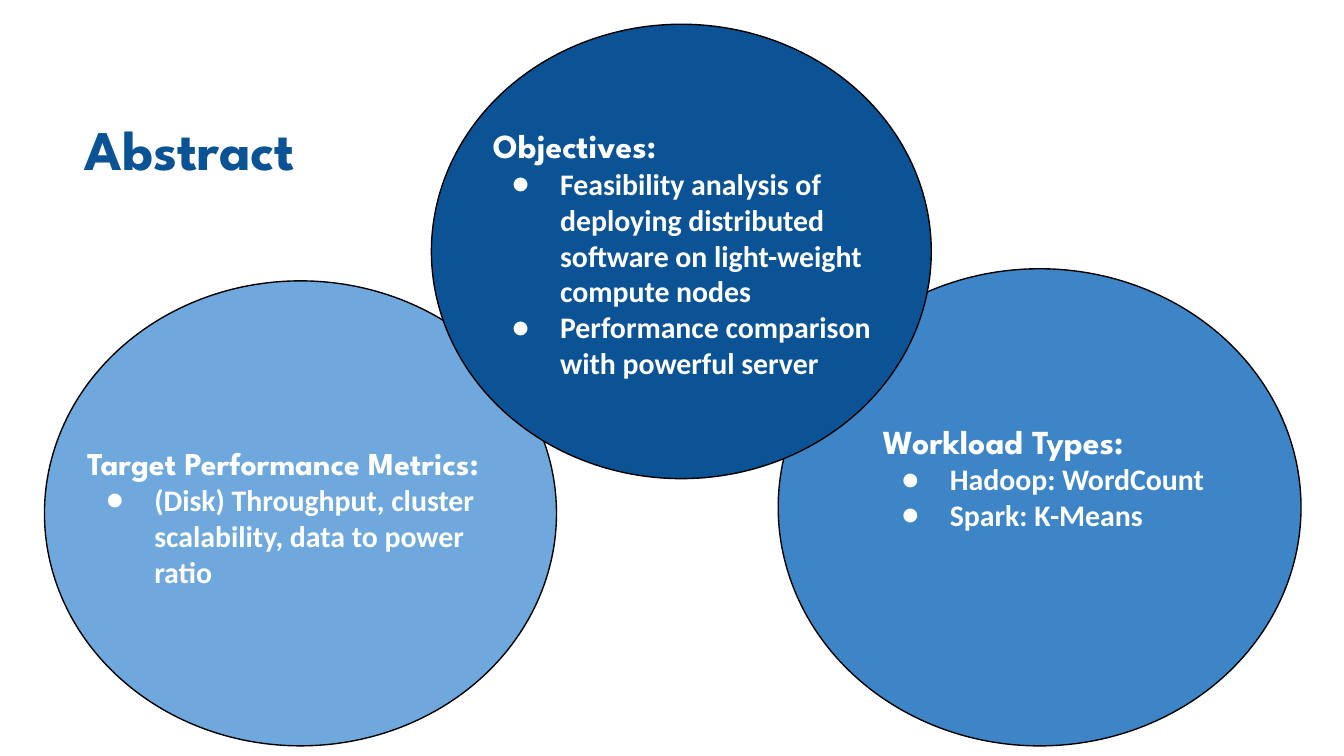
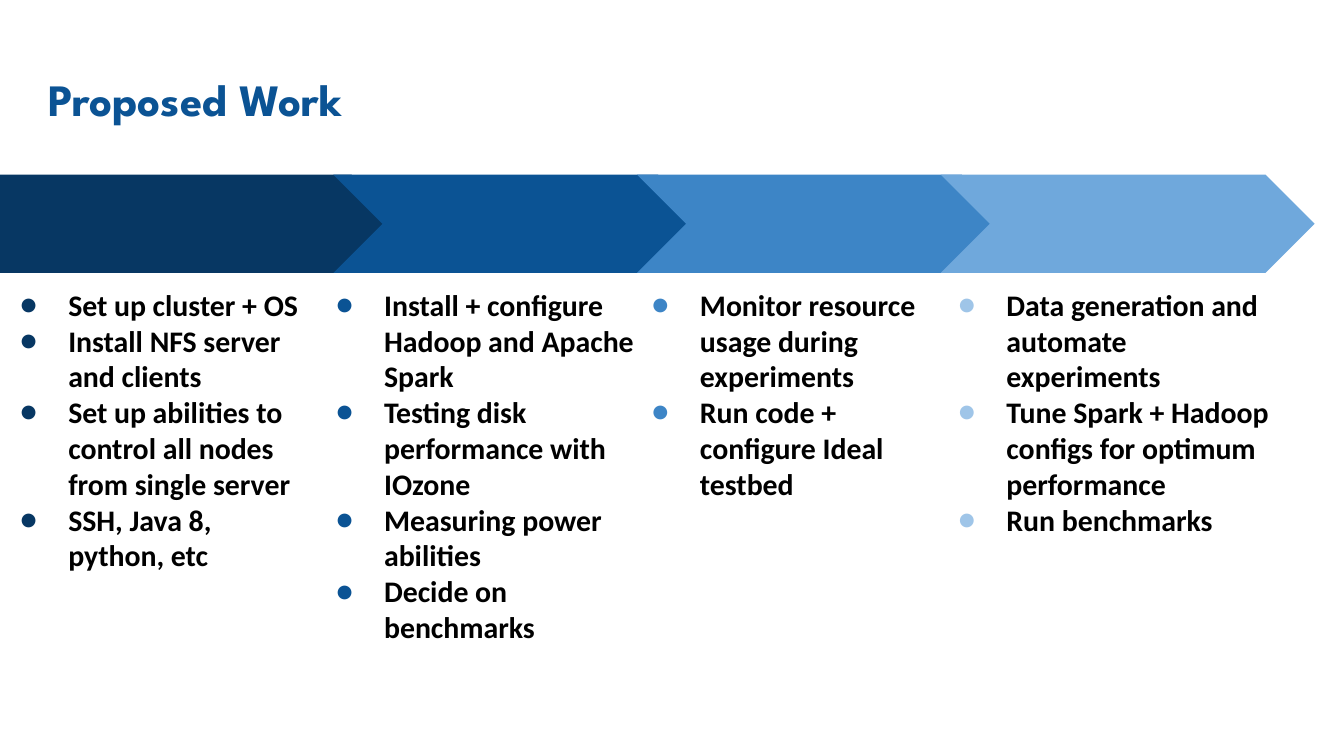
import pptx
import pptx.util
import pptx.dml.color
import pptx.enum.shapes
import pptx.enum.text
import pptx.oxml.ns
from lxml import etree

Pt = pptx.util.Pt
RGBColor = pptx.dml.color.RGBColor
SHAPE = pptx.enum.shapes.MSO_SHAPE
ANCHOR = pptx.enum.text.MSO_ANCHOR

NAVY = RGBColor(0x07, 0x37, 0x63)
BLUE = RGBColor(0x0B, 0x53, 0x94)
MEDIUM = RGBColor(0x3D, 0x85, 0xC6)
LIGHT = RGBColor(0x6F, 0xA8, 0xDC)
PALE = RGBColor(0x9F, 0xC5, 0xE8)
WHITE = RGBColor(0xFF, 0xFF, 0xFF)
BLACK = RGBColor(0, 0, 0)

HEADING_FONT = "League Spartan"
BODY_FONT = "Calibri"
INSET = 7.2
BULLET_MARGIN = 36
BULLET_HANGING = 26

BAND_TOP = 93.6
BAND_HEIGHT = 52.6
CHEVRON_LEFT = 178.6
CHEVRON_STEP = 162.7
CHEVRON_WIDTH = 200.2
PLATE_WIDTH = 214.6
COLUMN_TOP = 146.2
COLUMN_HEIGHT = 206

CIRCLES = [
    dict(area=(416.9, 144, 280.1, 255.6), fill=MEDIUM, text_area=(465.8, 179.3, 223.2, 152.1),
         heading="Workload Types:", bullets=["Hadoop: WordCount", "Spark: K-Means"]),
    dict(area=(23.8, 150.5, 274.3, 249.1), fill=LIGHT, text_area=(39.6, 218.2, 242.6, 113.8),
         heading="Target Performance Metrics:", size=17, spacing=1.15, text_fill=LIGHT,
         bullets=["(Disk) Throughput, cluster scalability, data to power ratio"]),
    dict(area=(231.1, 13, 267.8, 243.4), fill=BLUE, text_area=(257, 28.8, 231.8, 213.5),
         heading="Objectives:",
         bullets=["Feasibility analysis of deploying distributed software on light-weight compute nodes",
                  "Performance comparison with powerful server"]),
]

STAGES = [
    dict(fill=NAVY, bullet=NAVY, left=-6.5, width=177.1,
         tasks=["Set up cluster + OS", "Install NFS server and clients",
                "Set up abilities to control all nodes from single server",
                "SSH, Java 8, python, etc"]),
    dict(fill=BLUE, bullet=BLUE, left=162.7, width=197.3,
         tasks=["Install + configure Hadoop and Apache Spark",
                "Testing disk performance with IOzone",
                "Measuring power abilities", "Decide on benchmarks"]),
    dict(fill=MEDIUM, bullet=MEDIUM, left=331.9, width=188.6,
         tasks=["Monitor resource usage during experiments",
                "Run code + configure Ideal testbed"]),
    dict(fill=LIGHT, bullet=PALE, left=496.1, width=200.2,
         tasks=["Data generation and automate experiments",
                "Tune Spark + Hadoop configs for optimum performance",
                "Run benchmarks"]),
]


def set_bullet(para, color):
    properties = para._p.get_or_add_pPr()
    properties.set("marL", str(Pt(BULLET_MARGIN)))
    properties.set("indent", str(-Pt(BULLET_HANGING)))
    name = pptx.oxml.ns.qn
    bullet_color = etree.SubElement(properties, name("a:buClr"))
    etree.SubElement(bullet_color, name("a:srgbClr"), val=str(color))
    etree.SubElement(properties, name("a:buFont"), typeface=BODY_FONT)
    etree.SubElement(properties, name("a:buChar"), char="●")


def write(para, text, size=16, font=BODY_FONT, color=BLACK, bullet=None, spacing=None):
    para.alignment = pptx.enum.text.PP_ALIGN.LEFT
    if spacing:
        para.line_spacing = spacing
    if bullet is not None:
        set_bullet(para, bullet)
    span = para.add_run()
    span.text = text
    span.font.size = Pt(size)
    span.font.name = font
    span.font.bold = True
    span.font.color.rgb = color


def prepare_frame(box, anchor):
    frame = box.text_frame
    frame.word_wrap = True
    frame.auto_size = pptx.enum.text.MSO_AUTO_SIZE.NONE
    frame.vertical_anchor = anchor
    frame.margin_left = frame.margin_right = Pt(INSET)
    frame.margin_top = frame.margin_bottom = Pt(INSET)
    return frame


def add_titled_page(deck, text, area, size):
    page = deck.slides.add_slide(deck.slide_layouts[5])
    title = page.shapes.title
    title.left, title.top, title.width, title.height = map(Pt, area)
    frame = prepare_frame(title, ANCHOR.TOP)
    write(frame.paragraphs[0], text, size=size, font=HEADING_FONT, color=BLUE)
    return page


def add_figure(page, kind, area, fill, outline=None):
    figure = page.shapes.add_shape(kind, *map(Pt, area))
    figure.shadow.inherit = False
    figure.fill.solid()
    figure.fill.fore_color.rgb = fill
    if outline is None:
        figure.line.fill.background()
    else:
        figure.line.color.rgb = outline
        figure.line.width = Pt(0.75)


def add_text(page, area, lines, anchor=ANCHOR.TOP, fill=None):
    box = page.shapes.add_textbox(*map(Pt, area))
    if fill is not None:
        box.fill.solid()
        box.fill.fore_color.rgb = fill
    frame = prepare_frame(box, anchor)
    for index, (text, style) in enumerate(lines):
        para = frame.add_paragraph() if index else frame.paragraphs[0]
        write(para, text, **style)


def add_circle(page, circle):
    add_figure(page, SHAPE.OVAL, circle["area"], circle["fill"], outline=BLACK)
    heading_style = dict(size=circle.get("size", 18), font=HEADING_FONT, color=WHITE,
                         spacing=circle.get("spacing"))
    lines = [(circle["heading"], heading_style)]
    lines += [(text, dict(color=WHITE, bullet=WHITE)) for text in circle["bullets"]]
    add_text(page, circle["text_area"], lines, anchor=ANCHOR.MIDDLE, fill=circle.get("text_fill"))


def add_stage(page, index, stage):
    if index == 0:
        kind, left, width = SHAPE.PENTAGON, 0, PLATE_WIDTH
    else:
        kind, width = SHAPE.CHEVRON, CHEVRON_WIDTH
        left = CHEVRON_LEFT + (index - 1) * CHEVRON_STEP
    add_figure(page, kind, (left, BAND_TOP, width, BAND_HEIGHT), stage["fill"])
    lines = [(text, dict(bullet=stage["bullet"])) for text in stage["tasks"]]
    add_text(page, (stage["left"], COLUMN_TOP, stage["width"], COLUMN_HEIGHT), lines)


def main():
    deck = pptx.Presentation()
    deck.slide_width = Pt(720)
    deck.slide_height = Pt(405)
    abstract = add_titled_page(deck, "Abstract", (38.2, 54, 167, 45.4), 30)
    for circle in CIRCLES:
        add_circle(abstract, circle)
    proposal = add_titled_page(deck, "Proposed Work", (18.7, 31, 671, 45.4), 24)
    for index, stage in enumerate(STAGES):
        add_stage(proposal, index, stage)
    deck.save("out.pptx")


if __name__ == "__main__":
    main()
